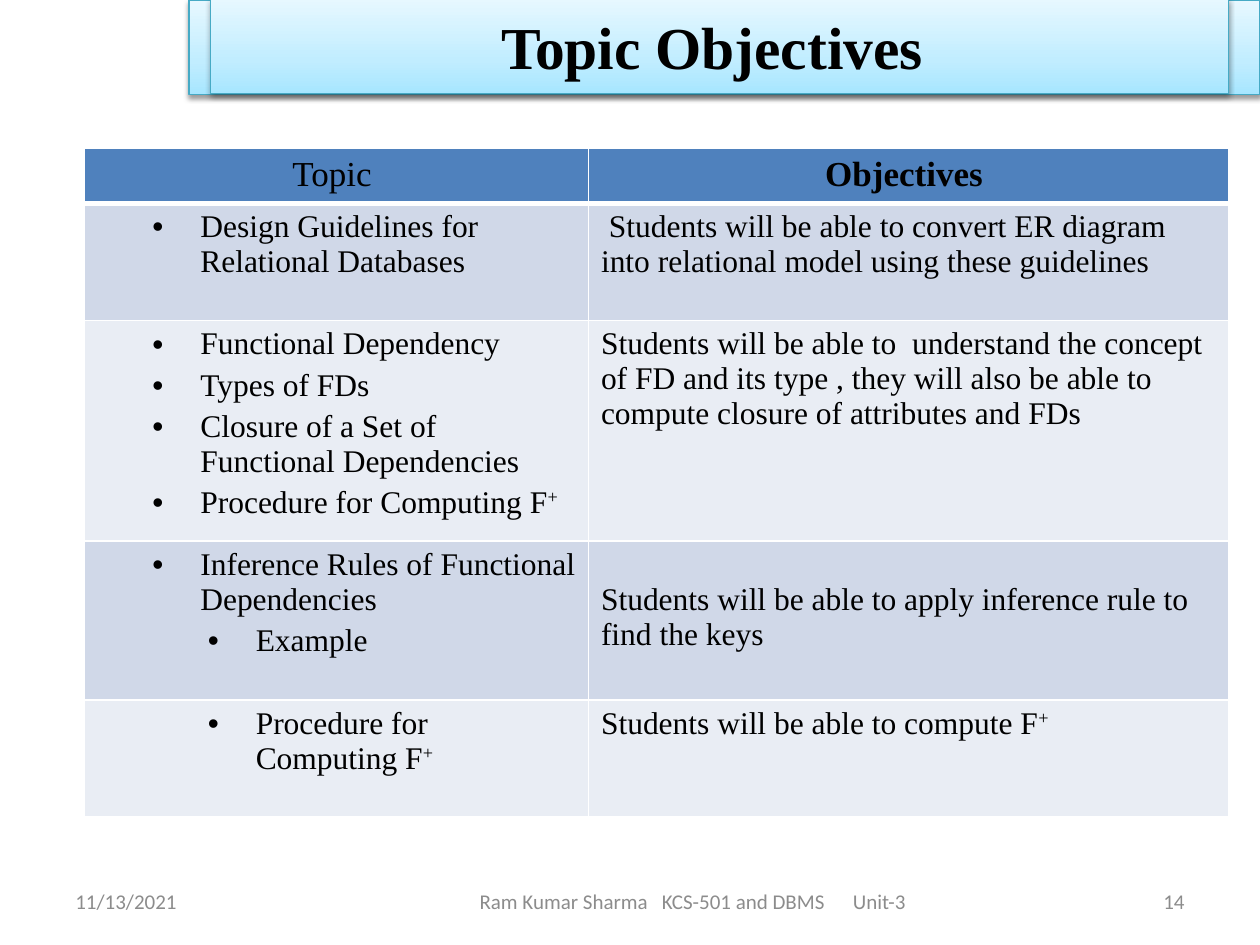
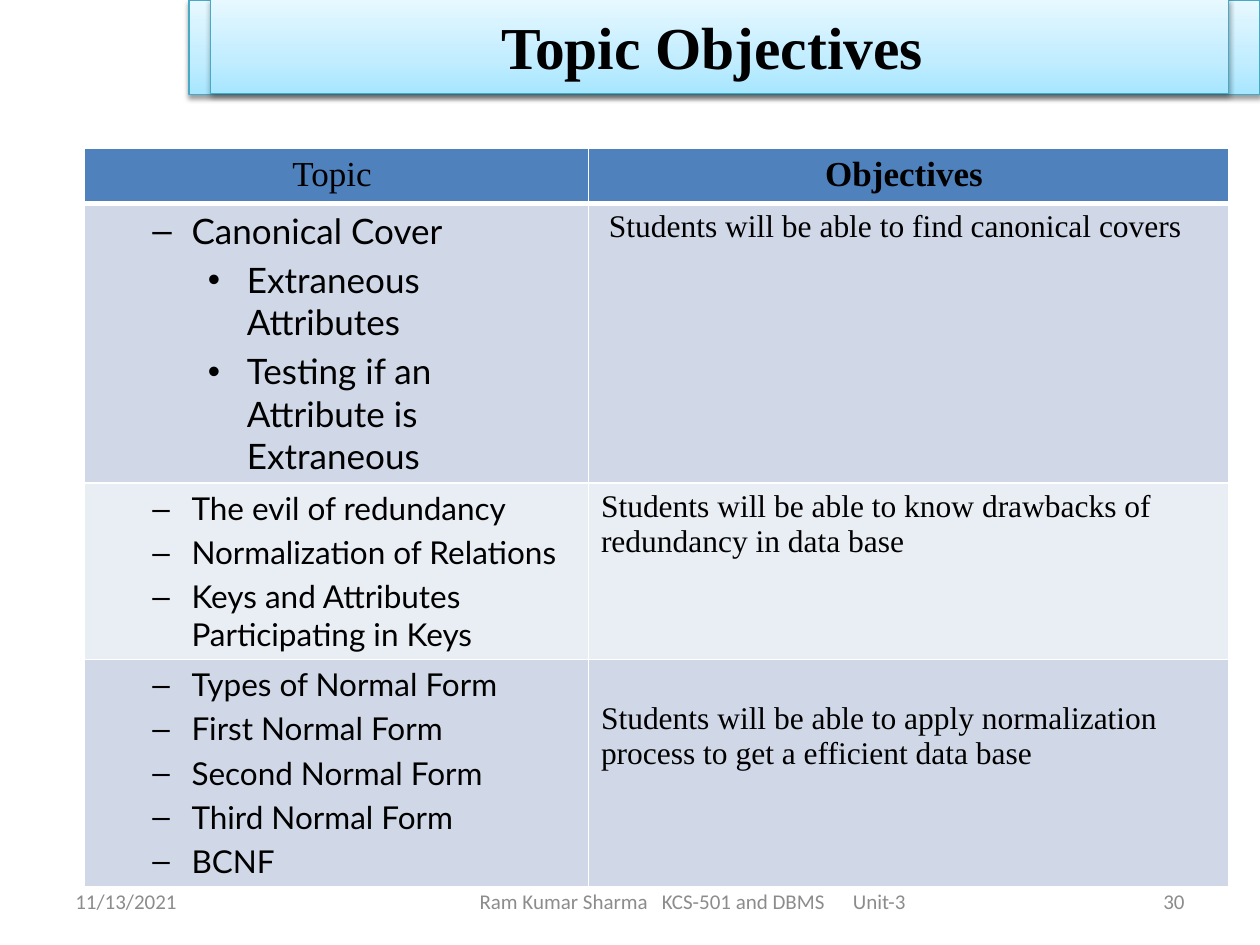
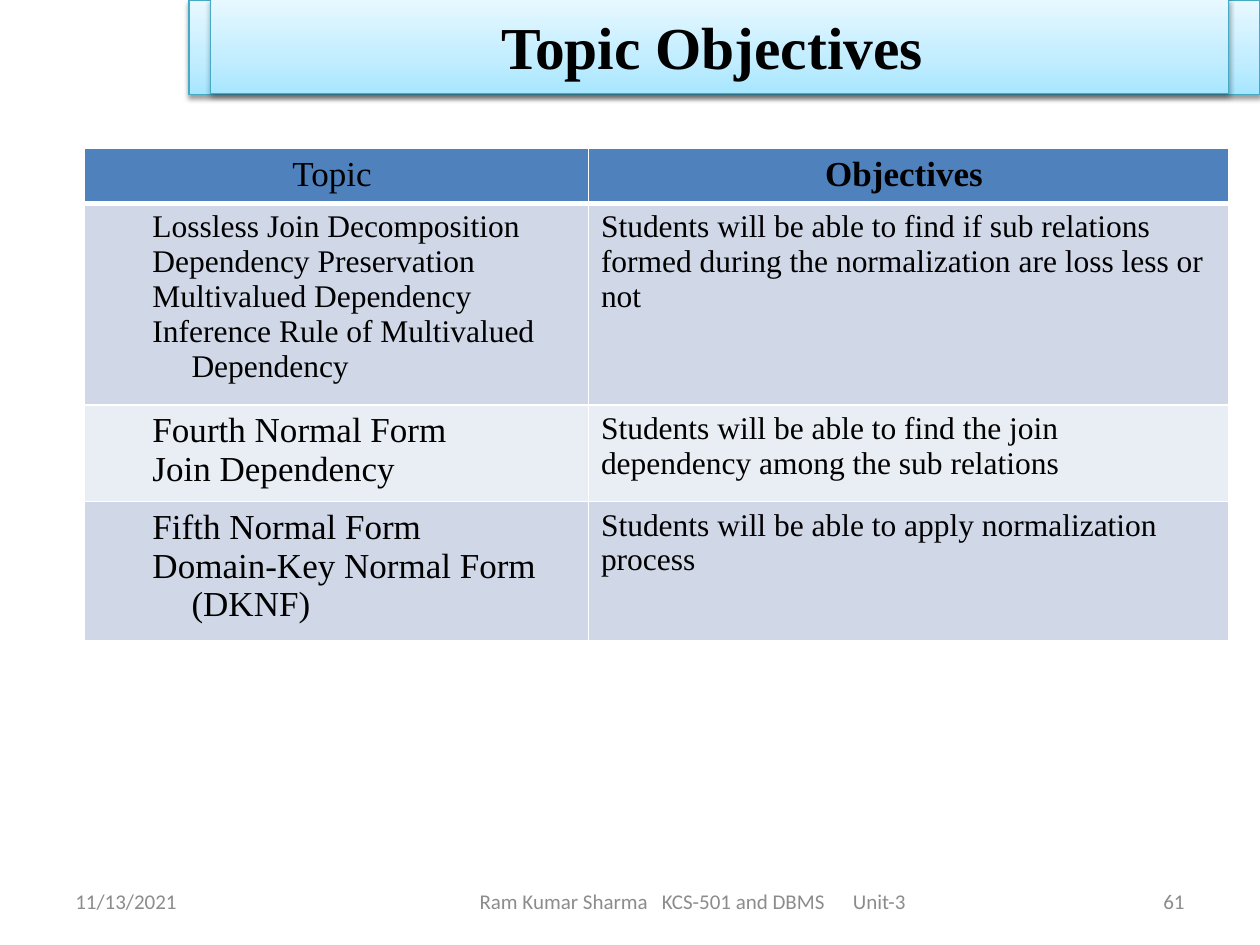
from dataclasses import dataclass
from lxml import etree
from pptx import Presentation
from pptx.dml.color import RGBColor
from pptx.enum.shapes import MSO_SHAPE as SHAPE
from pptx.enum.text import MSO_ANCHOR as ANCHOR, PP_ALIGN as ALIGN
from pptx.oxml.ns import qn
from pptx.util import Inches, Pt


@dataclass(frozen=True)
class Theme:
    ink: str = "000000"
    muted: str = "8C8C8C"
    white: str = "FFFFFF"
    header: str = "4F81BD"
    stripes: tuple = ("D0D8E8", "E9EDF4")
    band_stops: tuple = ((0, "A7E6FF"), (35, "C1EDFF"), (100, "E7F8FF"))
    band_line: str = "46AAC5"
    serif: str = "Times New Roman"
    sans: str = "Lato"
    footer_font: str = "Calibri"
    title_size: int = 34
    head_size: int = 20
    body_size: int = 18
    footer_size: int = 12


T = Theme()


@dataclass(frozen=True)
class ListStyle:
    font: str = T.serif
    size: int = T.body_size
    hang: float = 0.38
    mark: str = "•"


BULLETS = ListStyle()
DASHES = ListStyle(T.sans, T.body_size, 0.31, "–")
BIG_DASHES = ListStyle(T.sans, T.head_size, 0.31, "–")
PLAIN = ListStyle(hang=0.31, mark="")
BIG_PLAIN = ListStyle(size=T.head_size, hang=0.31, mark="")

LEVEL_STEP = 0.44
TITLE = "Topic Objectives "
DATE = "11/13/2021"
COURSE = "Ram Kumar Sharma   KCS-501 and DBMS      Unit-3"


def sub(parent, tag, **attrs):
    return etree.SubElement(parent, qn(tag), {k: str(v) for k, v in attrs.items()})


def add_color(parent, color, alpha=None):
    clr = sub(parent, "a:srgbClr", val=color)
    if alpha is not None:
        sub(clr, "a:alpha", val=alpha * 1000)


def add_text(p, text, font, size, color=T.ink, bold=False, align=None):
    """Write one paragraph; whatever follows a caret is superscript."""
    if align is not None:
        p.alignment = align
    base, _, raised = text.partition("^")
    for part in filter(None, (base, raised)):
        r = p.add_run()
        r.text = part
        r.font.name, r.font.size, r.font.bold = font, Pt(size), bold
        r.font.color.rgb = RGBColor.from_string(color)
    if raised:
        r._r.get_or_add_rPr().set("baseline", "30000")


# Title band
def add_band(s, box):
    sp = s.shapes.add_shape(SHAPE.RECTANGLE, *map(Inches, box))
    sp.line.color.rgb = RGBColor.from_string(T.band_line)
    sp.line.width = Pt(0.75)
    sp.shadow.inherit = False
    spPr = sp._element.spPr
    grad = etree.Element(qn("a:gradFill"), rotWithShape="1")
    stops = sub(grad, "a:gsLst")
    for pos, color in T.band_stops:
        add_color(sub(stops, "a:gs", pos=pos * 1000), color)
    sub(grad, "a:lin", ang=270 * 60000, scaled=0)
    spPr.find(qn("a:ln")).addprevious(grad)
    shadow = sub(spPr.find(qn("a:effectLst")), "a:outerShdw", blurRad=Pt(3.1),
                 dist=Pt(1.6), dir=90 * 60000, rotWithShape=0)
    add_color(shadow, T.ink, 38)
    return sp


def add_title(s, box):
    tf = add_band(s, box).text_frame
    tf.word_wrap = True
    tf.vertical_anchor = ANCHOR.MIDDLE
    add_text(tf.paragraphs[0], TITLE, T.serif, T.title_size, bold=True,
             align=ALIGN.CENTER)


# Footer: date, course and page number
def add_footer(s, top, height, number):
    for left, width, text, align in ((0.5, 2.33, DATE, ALIGN.LEFT),
                                     (2.75, 5.5, COURSE, ALIGN.CENTER),
                                     (7.17, 2.33, str(number), ALIGN.RIGHT)):
        tf = s.shapes.add_textbox(*map(Inches, (left, top, width, height))).text_frame
        tf.word_wrap = True
        tf.vertical_anchor = ANCHOR.MIDDLE
        add_text(tf.paragraphs[0], text, T.footer_font, T.footer_size, T.muted,
                 align=align)


# Topic table
def style_cell(cell, fill, bottom=1):
    cell.fill.solid()
    cell.fill.fore_color.rgb = RGBColor.from_string(fill)
    tcPr = cell._tc.get_or_add_tcPr()
    for i, (side, width) in enumerate((("L", 1), ("R", 1), ("T", 1), ("B", bottom))):
        ln = etree.Element(qn(f"a:ln{side}"), w=str(Pt(width)))
        add_color(sub(ln, "a:solidFill"), T.white)
        tcPr.insert(i, ln)


def add_list(tf, items, style):
    for i, (level, text) in enumerate(items):
        p = tf.add_paragraph() if i else tf.paragraphs[0]
        p.level = level
        pPr = p._p.get_or_add_pPr()
        pPr.set("marL", str(Inches(LEVEL_STEP * level + style.hang)))
        pPr.set("indent", str(-Inches(style.hang)))
        if style.mark:
            sub(sub(pPr, "a:spcBef"), "a:spcPct", val=20000)
            sub(pPr, "a:buFont", typeface="Arial")
            sub(pPr, "a:buChar", char=style.mark if level == 1 else "•")
        else:
            sub(pPr, "a:buNone")
        add_text(p, text, style.font, style.size)


def add_topics(s, left, top, widths, rows, head_height=0.41):
    heights = [head_height] + [row[0] for row in rows]
    frame = s.shapes.add_table(len(heights), len(widths), *map(
        Inches, (left, top, sum(widths), sum(heights))))
    table = frame.table
    for col, width in zip(table.columns, widths):
        col.width = Inches(width)
    for row, height in zip(table.rows, heights):
        row.height = Inches(height)
    for cell, text, bold in zip(table.rows[0].cells, ("Topic ", "Objectives "),
                                (False, True)):
        style_cell(cell, T.header, bottom=3)
        add_text(cell.text_frame.paragraphs[0], text, T.serif, T.head_size,
                 bold=bold, align=ALIGN.CENTER)
    for i, (_, style, items, objective, drop) in enumerate(rows):
        topic, goal = table.rows[i + 1].cells
        for cell in (topic, goal):
            style_cell(cell, T.stripes[i % 2])
        add_list(topic.text_frame, items, style)
        goal.margin_top = Inches(0.05 + drop)
        add_text(goal.text_frame.paragraphs[0], objective, T.serif, T.body_size)


def add_objectives_slide(prs, number, rows):
    s = prs.slides.add_slide(prs.slide_layouts[6])
    add_band(s, (1.5, 0, 8.5, 0.75))
    add_footer(s, 6.95, 0.4, number)
    add_title(s, (1.67, -0.01, 8.08, 0.75))
    add_topics(s, 0.67, 1.18, (4, 5.08), rows)


# Page number and rows: height, list style, (level, topic) items, objective, drop
LINE = 0.28
SLIDES = (
    (14, (
        (0.93, BULLETS, [(1, "Design Guidelines for Relational Databases")],
         " Students will be able to convert ER diagram into relational model "
         "using these guidelines ", 0),
        (1.63, BULLETS, [(1, "Functional Dependency"), (1, "Types of FDs"),
                         (1, "Closure of a Set of Functional Dependencies"),
                         (1, "Procedure for Computing F^+")],
         "Students will be able to  understand the concept of FD and its type , "
         "they will also be able to compute closure of attributes and FDs ", 0),
        (1.26, BULLETS, [(1, "Inference Rules of Functional Dependencies"),
                         (2, "Example")],
         "Students will be able to apply inference rule to find the keys ", LINE),
        (0.93, BULLETS, [(2, "Procedure for Computing F^+")],
         "Students will be able to compute F^+", 0),
    )),
    (30, (
        (2.22, BIG_DASHES, [(1, "Canonical Cover"), (2, "Extraneous Attributes"),
                            (2, "Testing if an Attribute is Extraneous")],
         " Students will be able to find canonical covers", 0),
        (1.4, DASHES, [(1, "The evil of redundancy"),
                       (1, "Normalization of Relations"),
                       (1, "Keys and Attributes Participating in Keys")],
         "Students will be able to know drawbacks of redundancy in data base ", 0),
        (1.79, DASHES, [(1, "Types of Normal Form "), (1, "First Normal Form"),
                        (1, "Second Normal Form"), (1, "Third Normal Form"),
                        (1, "BCNF")],
         "Students will be able to apply normalization process to get a "
         "efficient data base", LINE),
    )),
    (61, (
        (1.48, PLAIN, [(1, "Lossless Join Decomposition"),
                       (1, "Dependency Preservation"),
                       (1, "Multivalued Dependency"),
                       (1, "Inference Rule of Multivalued Dependency")],
         "Students will be able to find if sub relations formed during the "
         "normalization are loss less or not ", 0),
        (0.72, BIG_PLAIN, [(1, "Fourth Normal Form"), (1, "Join Dependency")],
         "Students will be able to find the join dependency among the sub "
         "relations ", 0),
        (1.02, BIG_PLAIN, [(1, "Fifth Normal Form"),
                           (1, "Domain-Key Normal Form (DKNF)")],
         "Students will be able to apply normalization process", 0),
    )),
)

prs = Presentation()
prs.slide_width, prs.slide_height = Inches(10), Inches(7.5)
for number, rows in SLIDES:
    add_objectives_slide(prs, number, rows)
prs.save("out.pptx")
